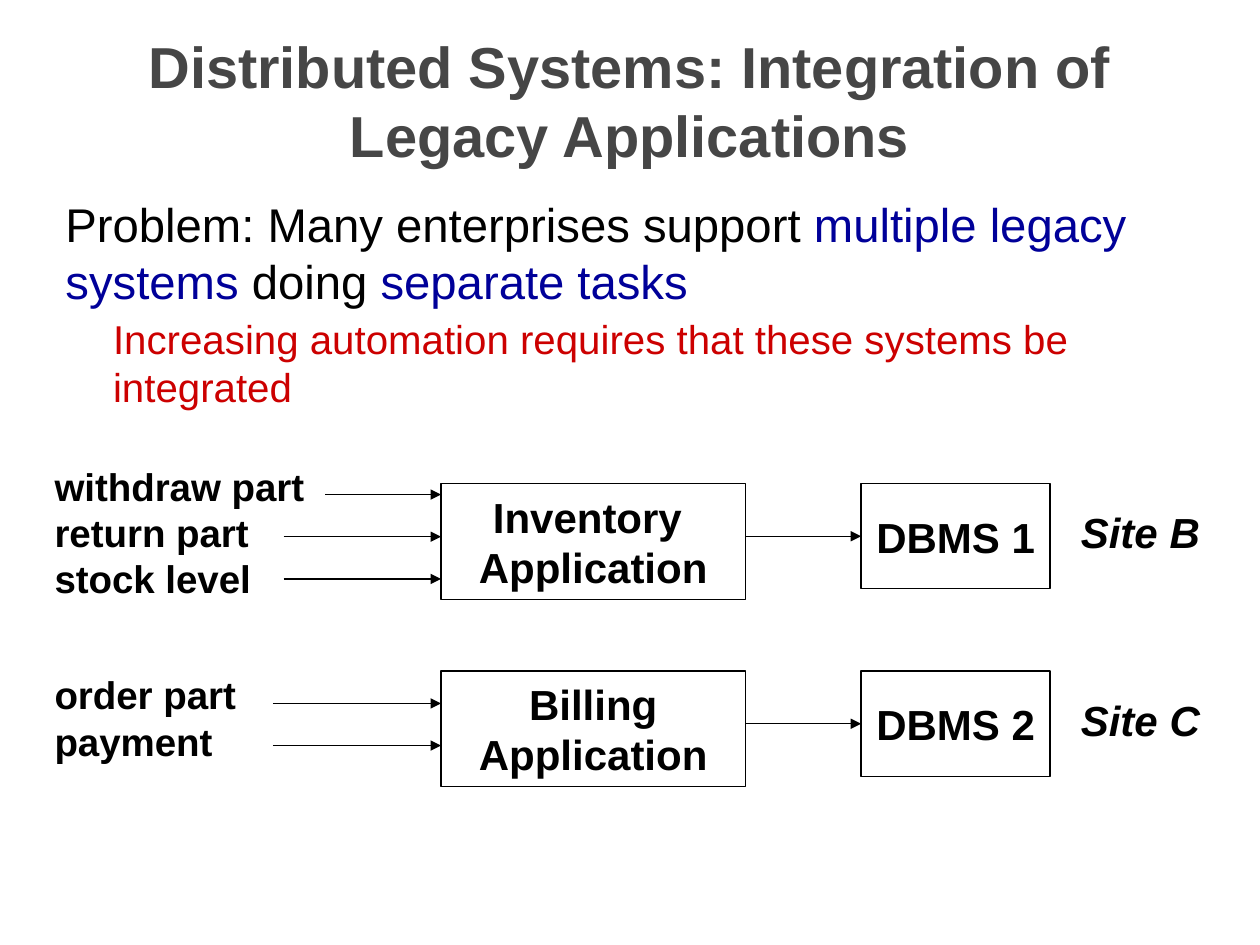
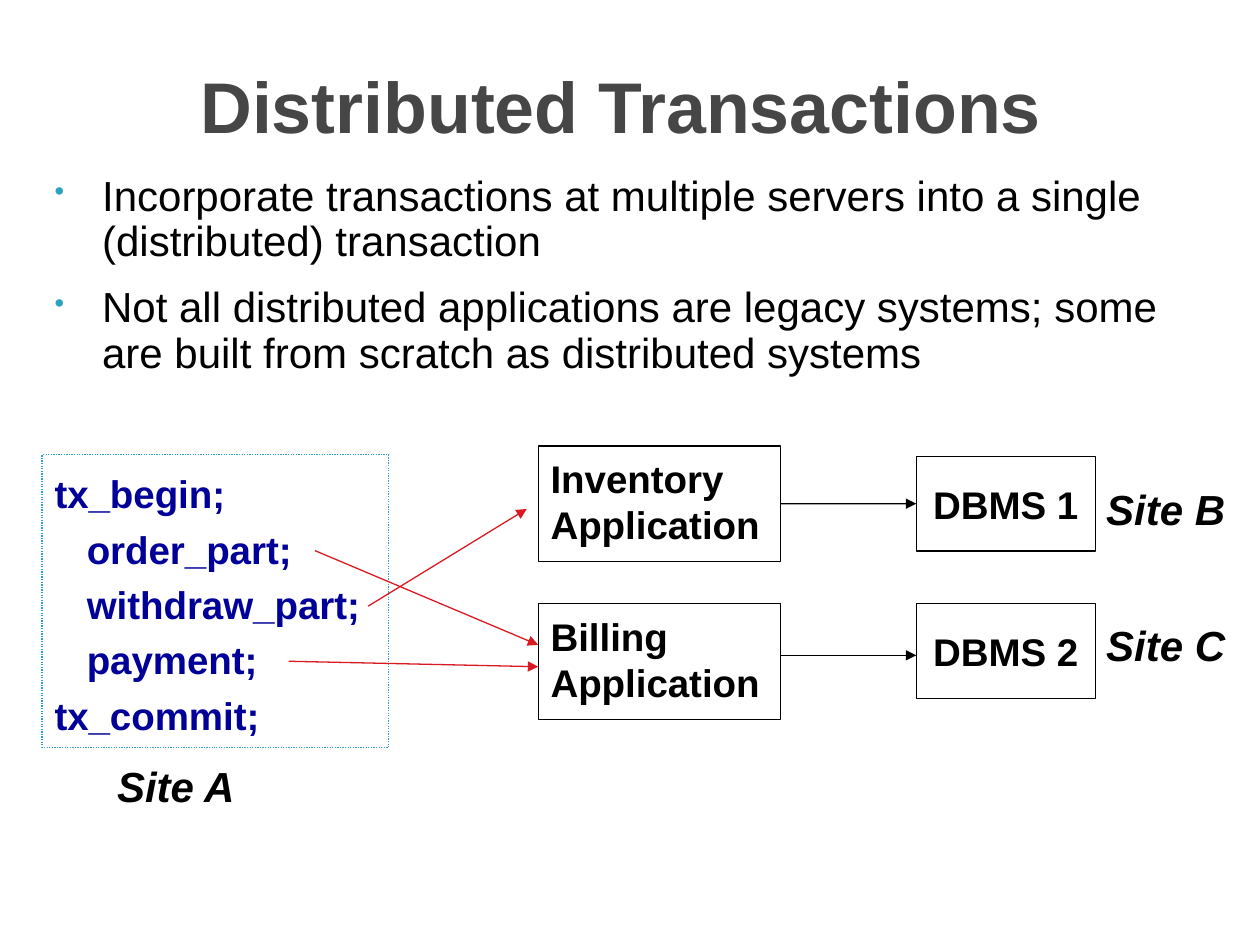
import pptx
import pptx.util
import pptx.dml.color
import pptx.enum.dml
import pptx.enum.shapes
import pptx.enum.text
from lxml import etree

Cm, Pt = pptx.util.Cm, pptx.util.Pt
RGBColor = pptx.dml.color.RGBColor
ALIGN = pptx.enum.text.PP_ALIGN
ANCHOR = pptx.enum.text.MSO_ANCHOR

BLACK = RGBColor(0x00, 0x00, 0x00)
WHITE = RGBColor(0xFF, 0xFF, 0xFF)
GREY = RGBColor(0x46, 0x46, 0x46)
NAVY = RGBColor(0x00, 0x00, 0x99)
RED = RGBColor(0xCC, 0x00, 0x00)
CRIMSON = RGBColor(0xDA, 0x1A, 0x23)
TEAL = RGBColor(0x2D, 0xA2, 0xBF)

A = "http://schemas.openxmlformats.org/drawingml/2006/main"
LINE_WIDTH = Pt(0.75)
BOLD_24 = {"size": Pt(24), "bold": True}
BOLD_22 = {"size": Pt(22), "bold": True}
SITE = {"size": Pt(24), "bold": True, "italic": True}
CENTRED = {"alignment": ALIGN.CENTER}
LEFT = {"alignment": ALIGN.LEFT}
MIDDLE = {"word_wrap": False, "vertical_anchor": ANCHOR.MIDDLE}


def set_all(obj, values):
    for name, value in values.items():
        setattr(obj, name, value)


def add_xml(parent, tag, **attributes):
    return etree.SubElement(parent, f"{{{A}}}{tag}", attributes)


def add_paragraph(tf, runs, font, para=None, indent=0, hanging=0):
    """Add a paragraph; runs is a string or a list of (text, colour)."""
    first = tf.paragraphs[0]
    p = tf.add_paragraph() if first.runs else first
    set_all(p, para or {})
    if indent:
        pPr = p._p.get_or_add_pPr()
        pPr.set("marL", str(Cm(indent)))
        pPr.set("indent", str(-Cm(hanging)))
    for text, colour in [(runs, BLACK)] if isinstance(runs, str) else runs:
        r = p.add_run()
        r.text = text
        set_all(r.font, {"name": "Arial", **font})
        r.font.color.rgb = colour
    return p


def add_bullet(p):
    pPr = p._p.get_or_add_pPr()
    add_xml(add_xml(pPr, "buClr"), "srgbClr", val=str(TEAL))
    add_xml(pPr, "buSzPct", val="68000")
    add_xml(pPr, "buChar", char="•")


def add_text(s, x, y, w, h, lines=(), font=None, para=None, **frame):
    tf = s.shapes.add_textbox(Cm(x), Cm(y), Cm(w), Cm(h)).text_frame
    set_all(tf, {"word_wrap": True, **frame})
    for line in lines:
        add_paragraph(tf, line, font, para)
    return tf


def add_title(s, x, y, h, text, size):
    add_text(s, x, y, 21.59, h, [[(text, GREY)]],
             {"size": Pt(size), "bold": True}, CENTRED,
             vertical_anchor=ANCHOR.MIDDLE)


def add_label(s, x, y, w, h, lines, font):
    add_text(s, x, y, w, h, lines, font, word_wrap=False)


def add_box(s, x, y, w, h, lines=(), font=BOLD_24, para=CENTRED, frame=MIDDLE,
            fill=WHITE, colour=BLACK):
    sp = s.shapes.add_shape(pptx.enum.shapes.MSO_SHAPE.RECTANGLE,
                            Cm(x), Cm(y), Cm(w), Cm(h))
    sp.shadow.inherit = False
    if fill is None:
        sp.fill.background()
    else:
        sp.fill.solid()
        sp.fill.fore_color.rgb = fill
    sp.line.color.rgb = colour
    sp.line.width = LINE_WIDTH
    set_all(sp.text_frame, frame)
    for line in lines:
        add_paragraph(sp.text_frame, line, font, para)
    return sp


def add_arrow(s, x1, y1, x2, y2, colour=BLACK, source=None, target=None):
    """Draw an arrow; source is joined at its right side, target at its left."""
    line = s.shapes.add_connector(pptx.enum.shapes.MSO_CONNECTOR.STRAIGHT,
                                  Cm(x1), Cm(y1), Cm(x2), Cm(y2))
    line.line.color.rgb = colour
    line.line.width = LINE_WIDTH
    add_xml(line.line._get_or_add_ln(), "tailEnd", type="triangle")
    add_xml(line._element.spPr, "effectLst")
    if source is not None:
        line.begin_connect(source, 3)
    if target is not None:
        line.end_connect(target, 1)


def build_legacy_slide(s):
    add_title(s, 1.9, 0.43, 3.18,
              "Distributed Systems: Integration of Legacy Applications", 33)
    tf = add_text(s, 1.07, 3.81, 22.86, 5.08)
    add_paragraph(tf, [("Problem: Many enterprises support ", BLACK),
                       ("multiple legacy systems", NAVY),
                       (" doing ", BLACK), ("separate tasks", NAVY)],
                  {"size": Pt(27)}, {"space_before": Pt(4)})
    add_paragraph(tf, [("Increasing automation requires that these systems "
                        "be integrated", RED)],
                  {"size": Pt(23)}, {"space_before": Pt(3.2), "level": 1},
                  indent=0.96)

    app_x, app_w, dbms_x = 8.89, 6.14, 17.36
    rows = [(9.75, ["Inventory ", "Application"], "DBMS 1", "Site B"),
            (13.53, ["Billing", "Application"], "DBMS 2", "Site C")]
    for y, app, dbms, site in rows:
        add_box(s, app_x, y, app_w, 2.33, app)
        db = add_box(s, dbms_x, y, 3.81, 2.12, [dbms])
        add_arrow(s, app_x + app_w, y + 1.06, dbms_x, y + 1.06, target=db)
        add_label(s, 21.54, y + 0.34, 3.02, 1.27, [site], SITE)

    add_label(s, 0.85, 9.2, 5.56, 3.05,
              ["withdraw part", "return part", "stock level"], BOLD_22)
    add_label(s, 0.85, 13.41, 4.19, 2.11, ["order part", "payment"], BOLD_22)
    requests = [(6.56, 9.97), (5.72, 10.82), (5.72, 11.67),
                (5.5, 14.18), (5.5, 15.03)]
    for x, y in requests:
        add_arrow(s, x, y, app_x, y)


def build_transactions_slide(s):
    add_title(s, 1.73, 0.85, 2.54, "Distributed Transactions", 41)
    tf = add_text(s, 0.85, 3.4, 23.7, 4.45)
    points = [("Incorporate transactions at multiple servers into a single "
               "(distributed) transaction", 4),
              ("Not all distributed applications are legacy systems; some are "
               "built from scratch as distributed systems", 12)]
    for text, before in points:
        add_bullet(add_paragraph(
            tf, text, {"size": Pt(24)},
            {"line_spacing": 0.9, "space_before": Pt(before)}, 0.96, 0.96))

    code = add_box(s, 0.85, 9.17, 6.99, 5.9, fill=None, colour=TEAL,
                   frame={"word_wrap": True, "vertical_anchor": ANCHOR.TOP})
    code.line.dash_style = pptx.enum.dml.MSO_LINE.ROUND_DOT
    for text, indent in [("tx_begin;", 0), ("order_part;", 0.65),
                         ("withdraw_part;", 0.65), ("payment;", 0.65),
                         ("tx_commit;", 0)]:
        add_paragraph(code.text_frame, [(text, NAVY)], BOLD_22,
                      {**LEFT, "line_spacing": 1.2}, indent)

    app_frame = {"word_wrap": True, "vertical_anchor": ANCHOR.TOP,
                 "margin_top": Cm(0.18)}
    apps, databases = [], []
    for app_y, app, dbms_y, dbms, site_y, site in [
            (8.99, "Inventory", 9.2, "DBMS 1", 9.63, "Site B"),
            (12.17, "Billing", 12.17, "DBMS 2", 12.37, "Site C")]:
        apps.append(add_box(s, 10.85, app_y, 4.88, 2.33, [app, "Application"],
                            BOLD_22, LEFT, app_frame))
        databases.append(add_box(s, 18.47, dbms_y, 3.61, 1.91, [dbms], BOLD_22))
        add_label(s, 22.05, site_y, 2.92, 1.27, [site], SITE)
    add_label(s, 2.11, 15.21, 2.92, 1.27, ["Site A"], SITE)

    for call in [(6.35, 11.1, 10.85, 13.0), (7.42, 12.22, 10.62, 10.26),
                 (5.82, 13.33, 10.85, 13.44)]:
        add_arrow(s, *call, CRIMSON)
    add_arrow(s, 15.73, 10.16, 18.47, 10.16,
              source=apps[0], target=databases[0])
    add_arrow(s, 15.73, 13.21, 18.47, 13.21)


def main():
    prs = pptx.Presentation()
    prs.slide_width, prs.slide_height = Cm(25.4), Cm(19.05)
    for build in (build_legacy_slide, build_transactions_slide):
        build(prs.slides.add_slide(prs.slide_layouts[6]))
    prs.save("out.pptx")


if __name__ == "__main__":
    main()
